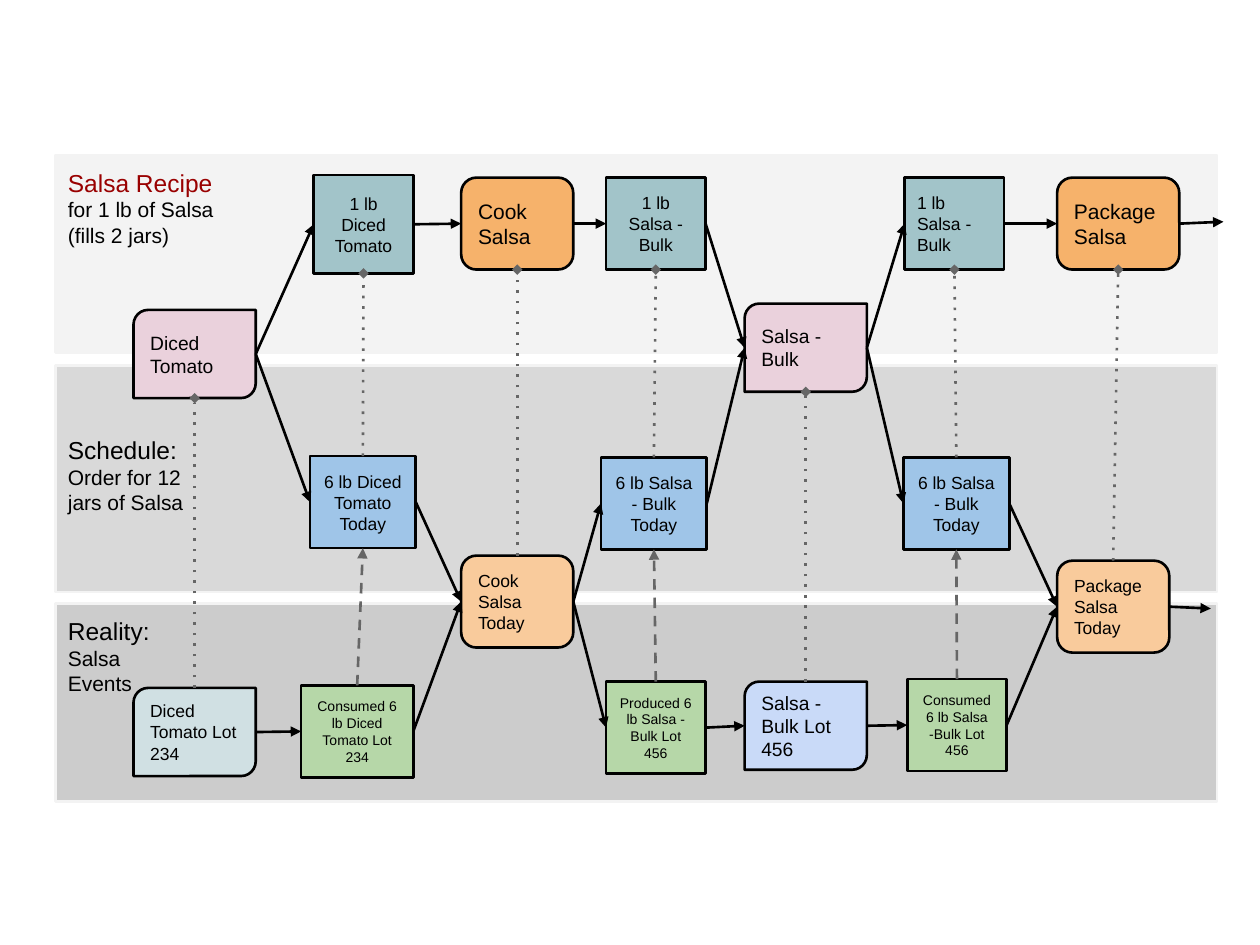
"""Build the salsa recipe, schedule and reality flow slide."""
from lxml.etree import SubElement
from pptx import Presentation
from pptx.dml.color import RGBColor
from pptx.enum.shapes import MSO_CONNECTOR, MSO_SHAPE
from pptx.enum.text import MSO_ANCHOR, PP_ALIGN
from pptx.oxml.ns import qn
from pptx.util import Inches, Pt

BLACK = RGBColor(0x00, 0x00, 0x00)
GREY = RGBColor(0x66, 0x66, 0x66)
RED = RGBColor(0x99, 0x00, 0x00)
PALE = RGBColor(0xF3, 0xF3, 0xF3)
LIGHT = RGBColor(0xD9, 0xD9, 0xD9)
MEDIUM = RGBColor(0xCC, 0xCC, 0xCC)
TEAL = RGBColor(0xA2, 0xC4, 0xC9)
MIST = RGBColor(0xD0, 0xE0, 0xE3)
ORANGE = RGBColor(0xF6, 0xB2, 0x6B)
PEACH = RGBColor(0xF9, 0xCB, 0x9C)
BLUE = RGBColor(0x9F, 0xC5, 0xE8)
PERIWINKLE = RGBColor(0xC9, 0xDA, 0xF8)
GREEN = RGBColor(0xB6, 0xD7, 0xA8)
PINK = RGBColor(0xEA, 0xD1, 0xDC)

BOX, STEP, ITEM = (MSO_SHAPE.RECTANGLE, MSO_SHAPE.ROUNDED_RECTANGLE,
                   MSO_SHAPE.ROUND_2_DIAG_RECTANGLE)
LEFT, CENTER = PP_ALIGN.LEFT, PP_ALIGN.CENTER
TOP, WEST, BOTTOM, EAST = range(4)

BANDS = [
    (1.23, 1.57, PALE, RED, 0.1, ["Salsa Recipe", "for 1 lb of Salsa", "(fills 2 jars)"]),
    (2.9, 1.8, LIGHT, BLACK, 0.55, ["Schedule:", "Order for 12", "jars of Salsa"]),
    (4.79, 1.57, MEDIUM, BLACK, 0.1, ["Reality:", "Salsa", "Events"]),
]

STYLES = {
    "ingredient": (BOX, TEAL, 10, CENTER),
    "result": (BOX, TEAL, 10, LEFT),
    "order": (BOX, BLUE, 10, CENTER),
    "event": (BOX, GREEN, 8, CENTER),
    "process": (STEP, ORANGE, 12, LEFT),
    "task": (STEP, PEACH, 10, LEFT),
    "resource": (ITEM, PINK, 11, LEFT),
    "tomato lot": (ITEM, MIST, 10, LEFT),
    "salsa lot": (ITEM, PERIWINKLE, 11, LEFT),
}

NODES = {
    "tomato": ("resource", 1.06, 2.46, 0.97, 0.7, "Diced Tomato"),
    "salsa": ("resource", 5.91, 2.41, 0.97, 0.7, "Salsa - Bulk"),
    "recipe tomato": ("ingredient", 2.49, 1.39, 0.79, 0.78, "1 lb Diced Tomato"),
    "cook": ("process", 3.66, 1.41, 0.89, 0.73, "Cook Salsa"),
    "recipe output": ("ingredient", 4.81, 1.41, 0.79, 0.73, "1 lb Salsa - Bulk"),
    "recipe input": ("result", 7.18, 1.41, 0.79, 0.73, "1 lb Salsa - Bulk"),
    "package": ("process", 8.39, 1.41, 0.97, 0.73, "Package Salsa"),
    "order tomato": ("order", 2.46, 3.62, 0.84, 0.73, "6 lb Diced Tomato Today"),
    "order output": ("order", 4.77, 3.63, 0.84, 0.73, "6 lb Salsa - Bulk Today"),
    "order input": ("order", 7.17, 3.63, 0.84, 0.73, "6 lb Salsa - Bulk Today"),
    "cook today": ("task", 3.66, 4.41, 0.89, 0.73, "Cook Salsa Today"),
    "package today": ("task", 8.39, 4.45, 0.89, 0.73, "Package Salsa Today"),
    "tomato lot": ("tomato lot", 1.06, 5.46, 0.97, 0.7, "Diced Tomato Lot 234"),
    "tomato used": ("event", 2.39, 5.44, 0.89, 0.73, "Consumed 6 lb Diced Tomato Lot 234"),
    "salsa made": ("event", 4.81, 5.41, 0.79, 0.73, "Produced 6 lb Salsa - Bulk Lot 456"),
    "salsa lot": ("salsa lot", 5.91, 5.41, 0.97, 0.7, "Salsa - Bulk Lot 456"),
    "salsa used": ("event", 7.2, 5.39, 0.79, 0.73, "Consumed 6 lb Salsa -Bulk Lot 456"),
}

FLOWS = [
    ("tomato", "recipe tomato"), ("tomato", "order tomato"),
    ("recipe tomato", "cook"), ("cook", "recipe output"),
    ("recipe output", "salsa"), ("order output", "salsa"),
    ("salsa", "recipe input"), ("salsa", "order input"),
    ("recipe input", "package"), ("order tomato", "cook today"),
    ("tomato lot", "tomato used"), ("tomato used", "cook today"),
    ("cook today", "order output"), ("cook today", "salsa made"),
    ("salsa made", "salsa lot"), ("salsa lot", "salsa used"),
    ("order input", "package today"), ("salsa used", "package today"),
]
EXITS = [("package", (9.71, 1.76)), ("package today", (9.61, 4.83))]
DEFINITIONS = [
    ("tomato lot", "tomato"), ("cook today", "cook"),
    ("order tomato", "recipe tomato"), ("order output", "recipe output"),
    ("salsa lot", "salsa"), ("order input", "recipe input"),
    ("package today", "package"),
]
FULFILMENTS = [("tomato used", "order tomato"), ("salsa made", "order output"),
               ("salsa used", "order input")]


def add_box(page, kind, area, fill, line):
    box = page.shapes.add_shape(kind, *map(Inches, area))
    box.shadow.inherit = False
    box.fill.solid()
    box.fill.fore_color.rgb = fill
    box.line.color.rgb = line
    box.line.width = Pt(1.5)
    frame = box.text_frame
    frame.word_wrap = True
    frame.margin_left = frame.margin_right = Inches(0.1)
    frame.margin_top = frame.margin_bottom = Inches(0.1)
    return box


def write(para, text, size=10, color=BLACK, align=LEFT):
    para.alignment = align
    span = para.add_run()
    span.text = text
    span.font.name = "Arial"
    span.font.size = Pt(size)
    span.font.color.rgb = color


def side_point(box, side):
    across, down = {TOP: (1, 0), WEST: (0, 1), BOTTOM: (1, 2), EAST: (2, 1)}[side]
    return box.left + box.width * across // 2, box.top + box.height * down // 2


def link(page, start, end, sides, color=BLACK, head="triangle", dash=None):
    first = side_point(start, sides[0])
    is_point = isinstance(end, tuple)
    last = tuple(map(Inches, end)) if is_point else side_point(end, sides[1])
    line = page.shapes.add_connector(MSO_CONNECTOR.STRAIGHT, *first, *last)
    if start.auto_shape_type != ITEM:
        line.begin_connect(start, sides[0])
    if not is_point and end.auto_shape_type != ITEM:
        line.end_connect(end, sides[1])
    line.line.color.rgb = color
    line.line.width = Pt(1.5)
    stroke = line.line._get_or_add_ln()
    if dash:
        SubElement(stroke, qn("a:prstDash"), val=dash)
    SubElement(stroke, qn("a:tailEnd"), type=head, w="med", len="med")
    SubElement(line._element.spPr, qn("a:effectLst"))


def main():
    deck = Presentation()
    deck.slide_width, deck.slide_height = Inches(10), Inches(7.5)
    page = deck.slides.add_slide(deck.slide_layouts[6])

    for top, height, fill, title_color, inset, lines in BANDS:
        band = add_box(page, BOX, (0.44, top, 9.22, height), fill, PALE)
        frame = band.text_frame
        frame.margin_top = Inches(inset)
        frame.vertical_anchor = MSO_ANCHOR.TOP
        write(frame.paragraphs[0], lines[0], size=14, color=title_color)
        for text in lines[1:]:
            write(frame.add_paragraph(), text, size=12)

    boxes = {}
    for name, (style, *area, text) in NODES.items():
        kind, fill, size, align = STYLES[style]
        box = boxes[name] = add_box(page, kind, area, fill, BLACK)
        box.text_frame.vertical_anchor = MSO_ANCHOR.MIDDLE
        write(box.text_frame.paragraphs[0], text, size=size, align=align)

    for start, end in FLOWS + EXITS:
        link(page, boxes[start], boxes.get(end, end), (EAST, WEST))
    for start, end in DEFINITIONS:
        link(page, boxes[start], boxes[end], (TOP, BOTTOM), color=GREY,
             head="diamond", dash="dot")
    for start, end in FULFILMENTS:
        link(page, boxes[start], boxes[end], (TOP, BOTTOM), color=GREY, dash="dash")

    deck.save("out.pptx")


if __name__ == "__main__":
    main()
